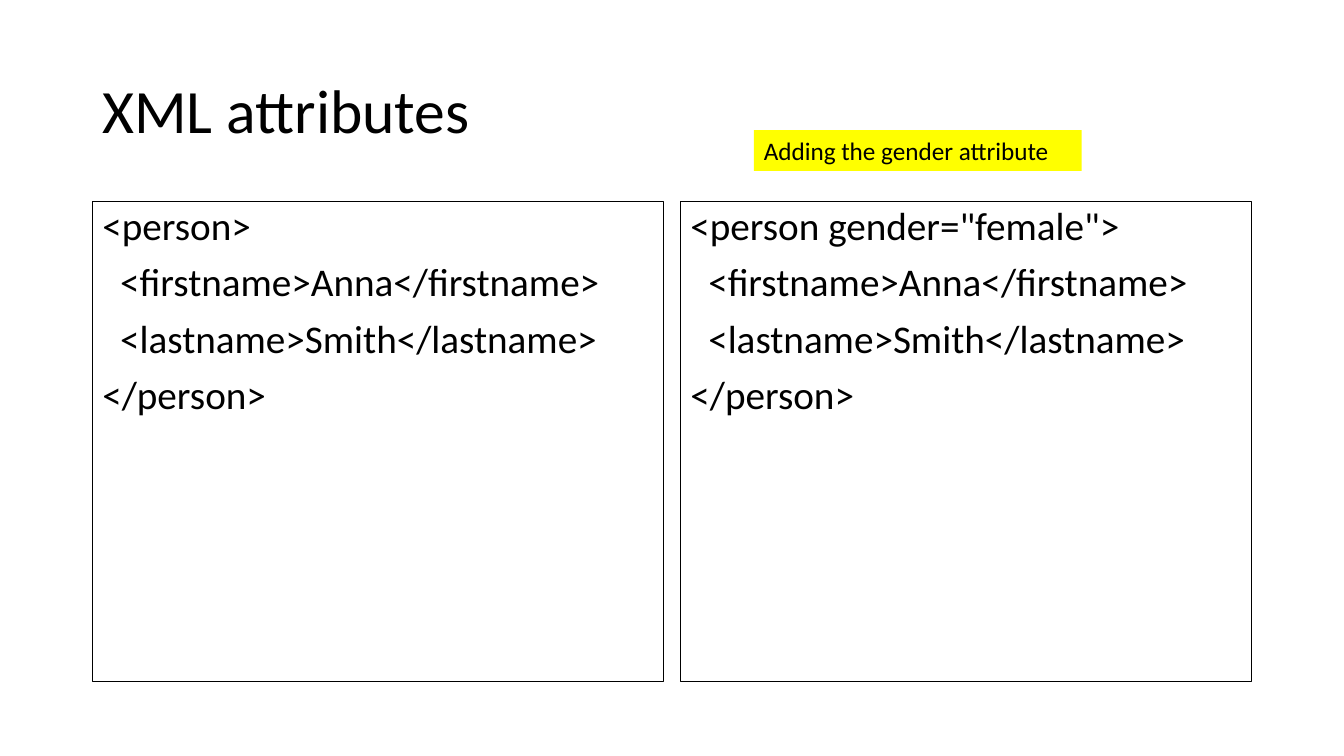
import pptx
import pptx.util
import pptx.dml.color
import pptx.enum.shapes
import pptx.enum.text
from dataclasses import dataclass

Cm = pptx.util.Cm
Pt = pptx.util.Pt
Anchor = pptx.enum.text.MSO_ANCHOR


@dataclass(frozen=True)
class Theme:
    font: str = "Calibri"
    ink: str = "000000"
    mark: str = "FFFF00"
    title: int = 44
    code: int = 28
    note: int = 18
    line: float = 0.75


THEME = Theme()

# Each code line is paired with its nesting level
NAME = [
    (1, "<firstname>Anna</firstname>"),
    (1, "<lastname>Smith</lastname>"),
    (0, "</person>"),
]
HEADS = ["<person>", '<person gender="female">']


def color(value):
    return pptx.dml.color.RGBColor.from_string(value)


def style(para, size):
    para.alignment = pptx.enum.text.PP_ALIGN.LEFT
    for run in para.runs:
        run.font.name = THEME.font
        run.font.size = Pt(size)
        run.font.color.rgb = color(THEME.ink)


def add_box(slide, left, top, width, height, fill=None, line=None):
    kind = pptx.enum.shapes.MSO_SHAPE.RECTANGLE
    box = slide.shapes.add_shape(kind, Cm(left), Cm(top), Cm(width), Cm(height))
    box.shadow.inherit = False
    if fill:
        box.fill.solid()
        box.fill.fore_color.rgb = color(fill)
    else:
        box.fill.background()
    if line:
        box.line.color.rgb = color(line)
        box.line.width = Pt(THEME.line)
    else:
        box.line.fill.background()
    box.text_frame.word_wrap = True
    box.text_frame.vertical_anchor = Anchor.TOP
    return box


def add_title(slide, text):
    box = slide.shapes.add_textbox(Cm(2.33), Cm(1.01), Cm(29.21), Cm(3.68))
    frame = box.text_frame
    frame.word_wrap = True
    frame.vertical_anchor = Anchor.MIDDLE
    frame.text = text
    para = frame.paragraphs[0]
    para.line_spacing = 0.9
    style(para, THEME.title)


def add_code(slide, left, lines):
    box = add_box(slide, left, 5.08, 14.4, 12.09, line=THEME.ink)
    frame = box.text_frame
    frame.text = "\n".join(text for level, text in lines)
    for para, (level, text) in zip(frame.paragraphs, lines):
        para.line_spacing = 0.9
        para.space_before = Pt(10)
        para._p.get_or_add_pPr().set("marL", str(Cm(0.45 * level)))
        style(para, THEME.code)


def add_note(slide, text):
    box = add_box(slide, 19, 3.28, 8.26, 1.03, fill=THEME.mark)
    frame = box.text_frame
    frame.auto_size = pptx.enum.text.MSO_AUTO_SIZE.SHAPE_TO_FIT_TEXT
    frame.text = text
    style(frame.paragraphs[0], THEME.note)


def main():
    deck = pptx.Presentation()
    deck.slide_width, deck.slide_height = Cm(33.87), Cm(19.05)
    slide = deck.slides.add_slide(deck.slide_layouts[6])

    # Heading
    add_title(slide, "XML attributes")

    # Code panels, side by side
    for col, head in enumerate(HEADS):
        add_code(slide, 2.33 + 14.82 * col, [(0, head)] + NAME)

    # Highlighted remark
    add_note(slide, "Adding the gender attribute")

    deck.save("out.pptx")


if __name__ == "__main__":
    main()
